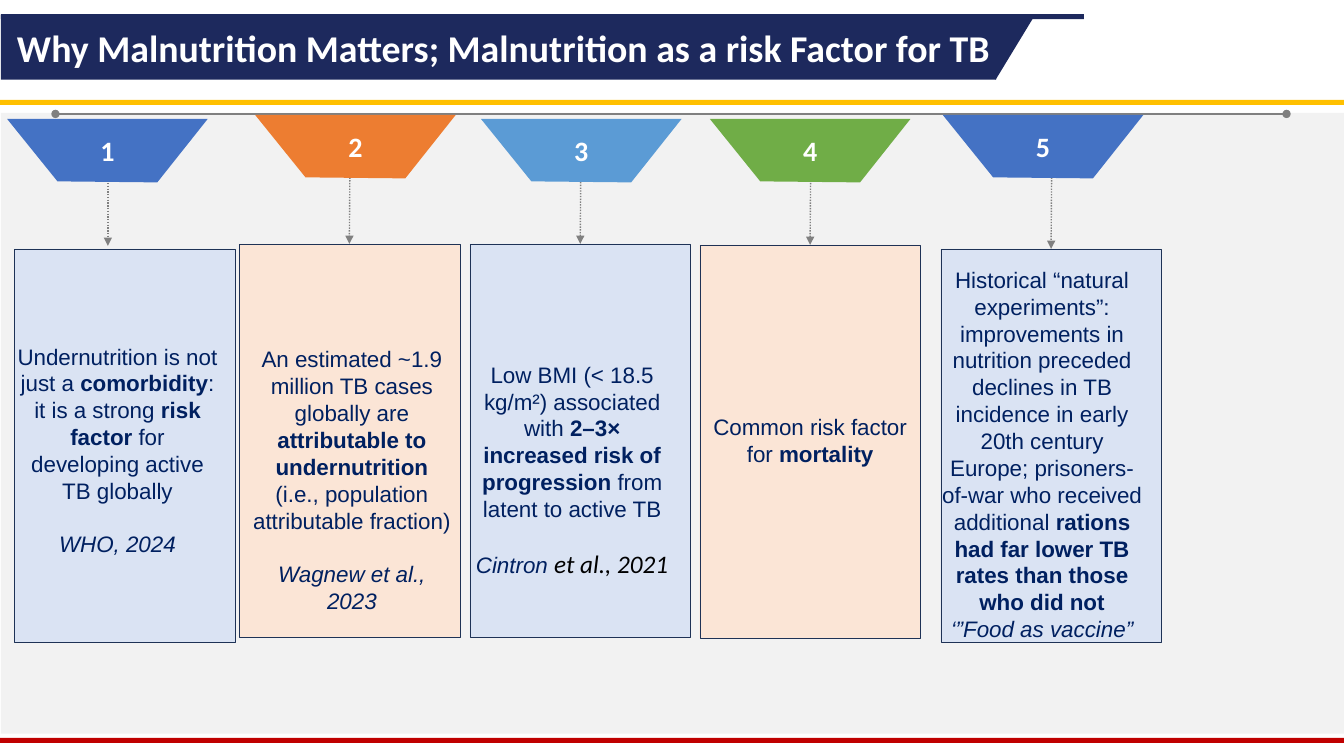
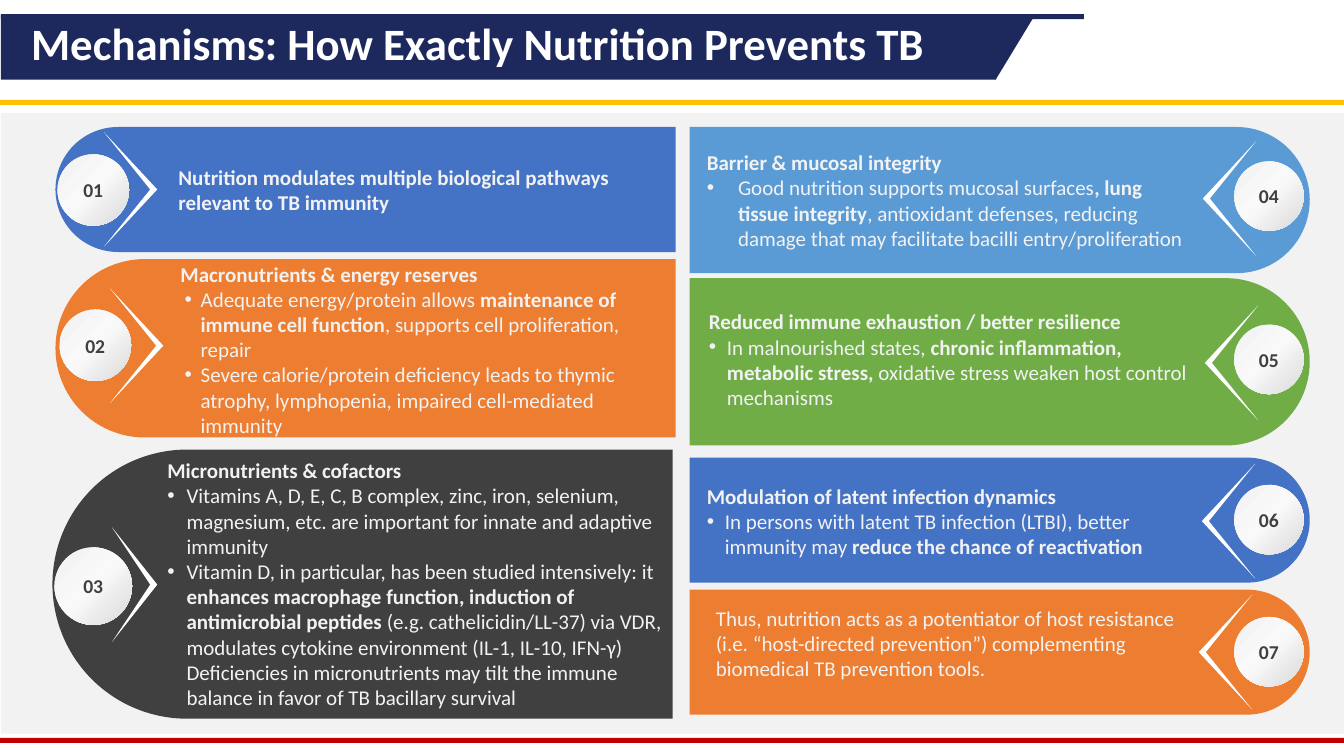
"""Build two slides on how nutrition relates to tuberculosis."""
from dataclasses import dataclass
from typing import Any, NamedTuple

from lxml.etree import SubElement
from pptx import Presentation
from pptx.dml.color import RGBColor
from pptx.enum.dml import MSO_LINE
from pptx.enum.shapes import MSO_CONNECTOR, MSO_SHAPE as Preset
from pptx.enum.text import MSO_ANCHOR as Anchor, PP_ALIGN as Align
from pptx.oxml import parse_xml
from pptx.oxml.ns import nsdecls, qn
from pptx.util import Inches, Pt

COLOURS = {
    "white": "FFFFFF", "backdrop": "F2F2F2", "red": "C00000", "gold": "FFC000",
    "banner": "1D295D", "outline": "1E3256", "ice": "DAE3F3", "peach": "FBE5D6",
    "grey": "808080", "blue": "4472C4", "orange": "ED7D31", "sky": "5B9BD5",
    "green": "70AD47", "charcoal": "404040", "navy": "002060", "black": "000000",
    "shade": "D9D9D9", "shine": "F9F9F9",
}


class Style(NamedTuple):
    colour: str
    values: dict[str, Any]


STYLES = {
    "title": Style("white", {"name": "Calibri", "bold": True}),
    "funnel": Style("white", {"name": "Calibri", "size": Pt(20), "bold": True}),
    "card": Style("navy", {"name": "Arial", "size": Pt(16)}),
    "citation": Style("navy", {"name": "Arial", "size": Pt(16), "italic": True}),
    "reference": Style("black", {"name": "Calibri", "size": Pt(18), "italic": True}),
    "panel": Style("backdrop", {"name": "Calibri", "size": Pt(15)}),
    "badge": Style("charcoal", {"name": "Calibri", "size": Pt(14), "bold": True}),
}


class Box(NamedTuple):
    left: float
    top: float
    width: float
    height: float


class Line(NamedTuple):
    text: str
    margin: float = 0
    hang: float = 0


@dataclass
class Card:
    funnel: tuple[float, float]
    funnel_colour: str
    corner: tuple[float, float]
    card_colour: str
    arrow: tuple[float, float]
    text_box: Box
    text: str
    citation: tuple[tuple[str, str], ...] = ()
    citation_gap: float = 19


@dataclass
class Panel:
    number: str
    colour: str
    area: Box
    badge: tuple[float, float, float]
    chevron: tuple[float, float, float]
    text_box: Box
    lines: tuple[Line, ...]


BANDS = (
    (Preset.RECTANGLE, Box(0.01, 1.12, 13.32, 6.16), "backdrop", 0),
    (Preset.RECTANGLE, Box(0, 7.32, 13.33, 0.05), "red", 0),
    (Preset.RECTANGLE, Box(0, 0.99, 13.33, 0.05), "gold", 0),
    (Preset.RECTANGLE, Box(0.01, 0.15, 9.87, 0.64), "banner", 0),
    (Preset.RECTANGLE, Box(0.01, 0.14, 10.74, 0.05), "banner", 0),
    (Preset.ISOSCELES_TRIANGLE, Box(9.48, 0.14, 0.79, 0.65), "banner", 180),
)
CARD_WIDTH, CARD_HEIGHT = 2.19, 3.9
ARROW_END = 2.44
CARDS = (
    Card((0.07, 1.18), "blue", (0.14, 2.47), "ice", (1.07, 1.76), Box(0.07, 3.35, 2.19, 2.52),
         "Undernutrition is not just a *comorbidity*: it is a strong *risk factor* for developing"
         " active TB globally", (("WHO, 2024", "citation"),)),
    Card((2.53, 1.14), "orange", (2.37, 2.42), "peach", (3.47, 1.76), Box(2.4, 3.38, 2.18, 2.9),
         "An estimated ~1.9 million TB cases globally are *attributable to undernutrition *"
         "(i.e., population attributable fraction)", (("Wagnew et al., 2023", "citation"),)),
    Card((4.77, 1.18), "sky", (4.66, 2.42), "ice", (5.76, 1.75), Box(4.58, 3.53, 2.19, 2.29),
         "Low BMI (< 18.5 kg/m²) associated with *2–3× increased risk of progression *"
         "from latent to active TB", (("Cintron ", "citation"), ("et al., 2021", "reference"))),
    Card((7.04, 1.18), "green", (6.94, 2.43), "peach", (8.04, 1.76), Box(6.94, 4.05, 2.19, 0.64),
         "Common risk factor for *mortality*"),
    Card((9.35, 1.14), "blue", (9.33, 2.47), "ice", (10.43, 1.76), Box(9.24, 2.59, 2.19, 3.87),
         "Historical “natural experiments”: improvements in nutrition preceded declines in TB"
         " incidence in early 20th century Europe; prisoners-of-war who received additional "
         "*rations had far lower TB rates than those who did not*",
         (("‘”Food as vaccine”", "citation"),), 0),
)
PANELS = (
    Panel("01", "blue", Box(0.55, 1.26, 6.15, 1.24), (0.57, 1.53, 0.71), (1.03, 1.88, 0.53),
          Box(1.77, 1.63, 4.76, 0.5),
          (Line("*Nutrition modulates multiple biological pathways relevant to TB immunity*"),)),
    Panel("04", "sky", Box(6.84, 1.26, 6.15, 1.45), (12.24, 1.6, 0.69), (12.46, 1.97, -0.53),
          Box(7.01, 1.48, 4.85, 1.01),
          (Line("*Barrier & mucosal integrity*"),
           Line("Good nutrition supports mucosal surfaces*, lung tissue integrity*, antioxidant"
                " defenses, reducing damage that may facilitate bacilli entry/proliferation",
                0.31, 0.31))),
    Panel("02", "orange", Box(0.55, 2.57, 6.15, 1.77), (0.59, 3.07, 0.71), (1.09, 3.43, 0.53),
          Box(1.79, 2.58, 4.9, 1.77),
          (Line("*Macronutrients & energy reserves*"),
           Line("Adequate energy/protein allows *maintenance of immune cell function*, supports"
                " cell proliferation, repair", 0.2, 0.16),
           Line("Severe calorie/protein deficiency leads to thymic atrophy, lymphopenia, impaired"
                " cell-mediated immunity", 0.2, 0.16))),
    Panel("05", "green", Box(6.84, 2.76, 6.15, 1.66), (12.24, 3.22, 0.69), (12.48, 3.6, -0.53),
          Box(7.03, 3.06, 4.89, 1.01),
          (Line("*Reduced immune exhaustion / better resilience*"),
           Line("In malnourished states, *chronic inflammation, metabolic stress, *oxidative"
                " stress weaken host control mechanisms", 0.18, 0.18))),
    Panel("03", "charcoal", Box(0.52, 4.46, 6.15, 2.67), (0.54, 5.43, 0.77), (1.11, 5.8, 0.45),
          Box(1.66, 4.53, 4.98, 2.52),
          (Line("*Micronutrients & cofactors*"),
           Line("Vitamins A, D, E, C, B complex, zinc, iron, selenium, magnesium, etc. are"
                " important for innate and adaptive immunity", 0.19, 0.19),
           Line("Vitamin D, in particular, has been studied intensively: it *enhances macrophage"
                " function, induction of antimicrobial peptides* (e.g. cathelicidin/LL-37) via"
                " VDR, modulates cytokine environment (IL-1, IL-10, IFN-γ)", 0.19, 0.19),
           Line("Deficiencies in micronutrients may tilt the immune balance in favor of TB"
                " bacillary survival", 0.19))),
    Panel("06", "blue", Box(6.84, 4.54, 6.15, 1.24), (12.24, 4.81, 0.69), (12.45, 5.17, -0.53),
          Box(7.01, 4.79, 4.85, 0.76),
          (Line("*Modulation of latent infection dynamics*"),
           Line("In persons with latent TB infection (LTBI), better immunity may *reduce the"
                " chance of reactivation*", 0.18, 0.18))),
    Panel("07", "orange", Box(6.84, 5.85, 6.15, 1.24), (12.24, 6.12, 0.69), (12.42, 6.47, -0.53),
          Box(7.1, 6, 4.82, 0.76),
          (Line("Thus, nutrition acts as a potentiator of host resistance (i.e. “host-directed"
                " prevention”) complementing biomedical TB prevention tools."),)),
)


def rgb(colour: str) -> RGBColor:
    return RGBColor.from_string(COLOURS[colour])


def write(paragraph: Any, text: str, style: str, **extra: Any) -> None:
    colour, values = STYLES[style]
    for index, piece in enumerate(text.split("*")):
        if not piece:
            continue
        run = paragraph.add_run()
        run.text = piece
        bold = {"bold": True} if index % 2 else {}
        for name, value in {**values, **extra, **bold}.items():
            setattr(run.font, name, value)
        run.font.color.rgb = rgb(colour)


def paint(shape: Any, colour: str, outline: str = "") -> None:
    shape.shadow.inherit = False
    shape.fill.solid()
    shape.fill.fore_color.rgb = rgb(colour)
    if outline:
        shape.line.color.rgb = rgb(outline)
        shape.line.width = Pt(0.25)
    else:
        shape.line.fill.background()


def add_preset(slide: Any, preset: Preset, box: Box) -> Any:
    return slide.shapes.add_shape(preset, *map(Inches, box))


def add_outline(slide: Any, points: list[tuple[float, float]], colour: str) -> Any:
    corners = [(Inches(x), Inches(y)) for x, y in points]
    builder = slide.shapes.build_freeform(*corners[0])
    builder.add_line_segments(corners[1:], close=True)
    outline = builder.convert_to_shape()
    paint(outline, colour)
    return outline


def add_text(slide: Any, box: Box, anchor: Anchor, inset: float | None = None) -> Any:
    frame = slide.shapes.add_textbox(*map(Inches, box)).text_frame
    frame.word_wrap = True
    frame.vertical_anchor = anchor
    if inset is not None:
        set_insets(frame, inset, inset)
    return frame


def set_insets(frame: Any, across: float, down: float) -> None:
    frame.margin_left = frame.margin_right = Inches(across)
    frame.margin_top = frame.margin_bottom = Inches(down)


def add_line(slide: Any, start: tuple[float, float], end: tuple[float, float], width: float,
             ends: dict[str, str], dash: MSO_LINE | None = None) -> Any:
    line = slide.shapes.add_connector(MSO_CONNECTOR.STRAIGHT, *map(Inches, (*start, *end)))
    line.line.color.rgb = rgb("grey")
    line.line.width = Pt(width)
    if dash:
        line.line.dash_style = dash
    properties = line._element.spPr
    for tag, kind in ends.items():
        SubElement(properties.find(qn("a:ln")), qn(f"a:{tag}"), type=kind)
    SubElement(properties, qn("a:effectLst"))
    return line


def add_base(deck: Any, title: str, box: Box, size: float) -> Any:
    slide = deck.slides.add_slide(deck.slide_layouts[6])
    for preset, band, colour, rotation in BANDS:
        shape = add_preset(slide, preset, band)
        shape.rotation = rotation
        paint(shape, colour)
    heading = add_text(slide, box, Anchor.MIDDLE).paragraphs[0]
    heading.line_spacing = 0.9
    write(heading, title, "title", size=Pt(size))
    return slide


def add_card(slide: Any, number: int, card: Card) -> None:
    left, top = card.corner
    backing = add_preset(slide, Preset.RECTANGLE, Box(left, top, CARD_WIDTH, CARD_HEIGHT))
    paint(backing, card.card_colour, "outline")
    x, start = card.arrow
    arrow = add_line(slide, (x, start), (x, ARROW_END), 1, {"tailEnd": "triangle"},
                     MSO_LINE.ROUND_DOT)
    if abs(left + CARD_WIDTH / 2 - x) < 0.02:
        arrow.end_connect(backing, 0)
    x, y = card.funnel
    funnel = add_outline(slide, [(x, y), (x + 1.99, y), (x + 1.49, y + 0.63), (x + 0.5, y + 0.62)],
                         card.funnel_colour)
    frame = funnel.text_frame
    set_insets(frame, 0.13, 0.07)
    frame.vertical_anchor = Anchor.MIDDLE
    frame.paragraphs[0].alignment = Align.CENTER
    write(frame.paragraphs[0], str(number), "funnel")
    frame = add_text(slide, card.text_box, Anchor.TOP)
    frame.paragraphs[0].alignment = Align.CENTER
    write(frame.paragraphs[0], card.text, "card")
    if card.citation:
        source = frame.add_paragraph()
        source.alignment = Align.CENTER
        source.space_before = Pt(card.citation_gap)
        for text, style in card.citation:
            write(source, text, style)


def add_badge(slide: Any, panel: Panel) -> None:
    left, top, size = panel.badge
    badge = add_preset(slide, Preset.OVAL, Box(left, top, size, size))
    badge.shadow.inherit = False
    badge.line.fill.background()
    stops = "".join(f'<a:gs pos="{place}"><a:srgbClr val="{COLOURS[tone]}"/></a:gs>'
                    for place, tone in ((0, "shade"), (50000, "shine"), (100000, "backdrop")))
    badge._element.spPr.insert(2, parse_xml(
        f'<a:gradFill {nsdecls("a")}><a:gsLst>{stops}</a:gsLst><a:path path="circle">'
        '<a:fillToRect l="100000" t="100000"/></a:path></a:gradFill>'))
    frame = badge.text_frame
    frame.word_wrap = False
    frame.vertical_anchor = Anchor.MIDDLE
    frame.paragraphs[0].alignment = Align.CENTER
    write(frame.paragraphs[0], panel.number, "badge")


def add_panel(slide: Any, panel: Panel) -> None:
    left, top, width, height = panel.area
    x, y, reach = panel.chevron
    upright = Box(left + (width - height) / 2, top + (height - width) / 2, height, width)
    body = add_preset(slide, Preset.ROUND_2_SAME_RECTANGLE, upright)
    body.adjustments[0], body.adjustments[1] = 0.5, 0
    body.rotation = 270 if reach > 0 else 90
    paint(body, panel.colour)
    frame = add_text(slide, panel.text_box, Anchor.MIDDLE, 0)
    for index, line in enumerate(panel.lines):
        paragraph = frame.add_paragraph() if index else frame.paragraphs[0]
        properties = paragraph._p.get_or_add_pPr()
        if line.margin:
            properties.set("marL", str(Inches(line.margin)))
            properties.set("indent", str(-Inches(line.hang)))
        if line.hang:
            SubElement(properties, qn("a:buFont"), typeface="Arial")
            SubElement(properties, qn("a:buChar"), char="•")
        write(paragraph, line.text, "panel")
    add_badge(slide, panel)
    notch = reach - (0.07 if reach > 0 else -0.07)
    add_outline(slide, [(x, y - 0.57), (x + reach, y), (x, y + 0.57), (x + notch, y)], "white")


def main() -> None:
    deck = Presentation()
    deck.slide_width, deck.slide_height = Inches(13.33), Inches(7.5)
    reasons = add_base(deck, "Why Malnutrition Matters; Malnutrition as a risk Factor for TB",
                       Box(0.07, 0.18, 10.41, 0.64), 27)
    add_line(reasons, (0.55, 1.13), (12.76, 1.13), 1.5, {"headEnd": "oval", "tailEnd": "oval"})
    for number, card in enumerate(CARDS, 1):
        add_card(reasons, number, card)
    mechanisms = add_base(deck, "Mechanisms: How Exactly Nutrition Prevents TB",
                          Box(0.21, 0.17, 9.49, 0.57), 32)
    for panel in PANELS:
        add_panel(mechanisms, panel)
    deck.save("out.pptx")


if __name__ == "__main__":
    main()
